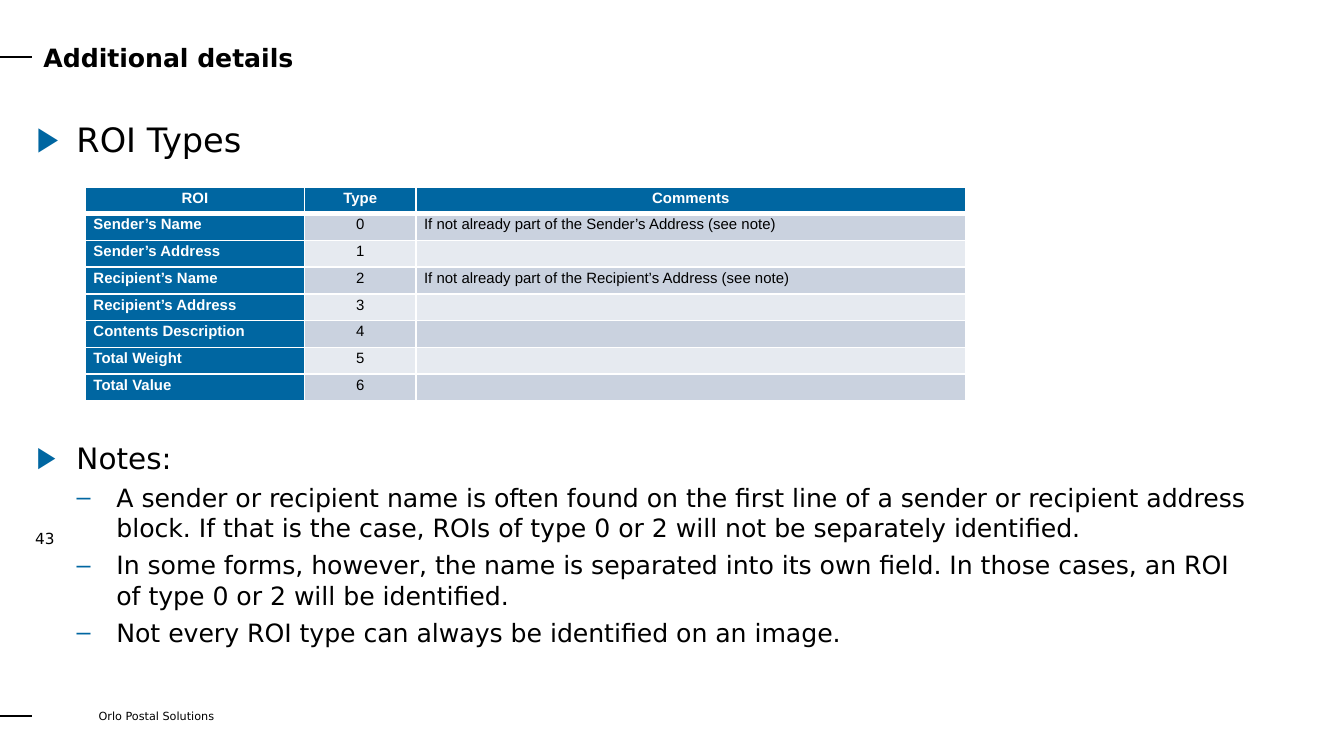
from dataclasses import dataclass

from lxml.etree import SubElement
from pptx import Presentation
from pptx.dml.color import RGBColor
from pptx.enum.shapes import MSO_CONNECTOR
from pptx.enum.text import MSO_ANCHOR, PP_ALIGN
from pptx.oxml.ns import qn
from pptx.slide import Slide
from pptx.util import Inches, Pt

BLACK = RGBColor(0x00, 0x00, 0x00)
WHITE = RGBColor(0xFF, 0xFF, 0xFF)
BLUE = RGBColor(0x00, 0x66, 0xA1)
DARK_BAND = RGBColor(0xCA, 0xD2, 0xDF)
LIGHT_BAND = RGBColor(0xE6, 0xEA, 0xF0)
SLIDE_COLUMNS, SLIDE_ROWS = 100, 56.25
BODY_FONT, TABLE_FONT, BULLET_FONT = "DejaVu Sans", "Arial", "Arial"


@dataclass(frozen=True)
class Area:
    left: float
    top: float
    width: float
    height: float


@dataclass(frozen=True)
class Label:
    text: str
    area: Area
    size: float
    bold: bool = False
    inset: tuple[float, float] = (0, 0)
    anchor: MSO_ANCHOR = MSO_ANCHOR.TOP
    line_spacing: float = 1


@dataclass(frozen=True)
class Bullet:
    text: str
    size: float
    space_before: float
    level: int = 0


@dataclass(frozen=True)
class RoiType:
    name: str
    comment: str = ""


RULE_ROWS = (4.24, 53.3)
LABELS = (
    Label("Orlo Postal Solutions", Area(6.64, 52.4, 14.1, 1.8), 6, inset=(0.7, 0.4)),
    Label("Additional details", Area(3.24, 3.15, 95.7, 2.3), 13.5, bold=True),
    Label("43", Area(2.62, 39.3, 1.7, 1.3), 8.2,
          anchor=MSO_ANCHOR.MIDDLE, line_spacing=1.21),
)
BODY_AREA = Area(1.74, 8.36, 93, 41.2)
BULLETS = (
    Bullet("ROI Types", 18, 0),
    Bullet("Notes:", 15.8, 150.3),
    Bullet("A sender or recipient name is often found on the first line of a sender or "
           "recipient address block. If that is the case, ROIs of type 0 or 2 will not "
           "be separately identified.", 13.5, 3.8, 1),
    Bullet("In some forms, however, the name is separated into its own field. In those "
           "cases, an ROI of type 0 or 2 will be identified.", 13.5, 3.8, 1),
    Bullet("Not every ROI type can always be identified on an image.", 13.5, 3.8, 1),
)
BULLET_MARKS = "▶–"
BULLET_INDENT = 2.97
TABLE_LEFT, TABLE_TOP, TABLE_ROW = 6.36, 13.92, 1.99
TABLE_COLUMNS = (16.3, 8.3, 40.9)
HEADINGS = ("ROI", "Type", "Comments")
ROI_TYPES = (
    RoiType("Sender’s Name", "If not already part of the Sender’s Address (see note)"),
    RoiType("Sender’s Address"),
    RoiType("Recipient’s Name", "If not already part of the Recipient’s Address (see note)"),
    RoiType("Recipient’s Address"),
    RoiType("Contents Description"),
    RoiType("Total Weight"),
    RoiType("Total Value"),
)


def grid(steps: float) -> int:
    """Turn grid steps, a tenth of an inch each, into a length."""
    return Inches(steps / 10)


def style(paragraph, font: str, size: float, color: RGBColor, bold: bool = False) -> None:
    """Format every run of a paragraph."""
    for span in paragraph.runs:
        span.font.name = font
        span.font.size = Pt(size)
        span.font.bold = bold
        span.font.color.rgb = color


def add_box(page: Slide, area: Area, inset: tuple[float, float]):
    """Add a wrapping text box and return its text frame."""
    box = page.shapes.add_textbox(
        grid(area.left), grid(area.top), grid(area.width), grid(area.height))
    frame = box.text_frame
    frame.word_wrap = True
    frame.margin_left = frame.margin_right = grid(inset[0])
    frame.margin_top = frame.margin_bottom = grid(inset[1])
    return frame


def add_label(page: Slide, label: Label) -> None:
    """Add a one-line text."""
    frame = add_box(page, label.area, label.inset)
    frame.vertical_anchor = label.anchor
    frame.text = label.text
    para = frame.paragraphs[0]
    para.line_spacing = label.line_spacing
    style(para, BODY_FONT, label.size, BLACK, label.bold)


def add_rule(page: Slide, row: float) -> None:
    """Add a short black line at the left edge."""
    rule = page.shapes.add_connector(
        MSO_CONNECTOR.STRAIGHT, 0, grid(row), grid(2.4), grid(row))
    rule.line.color.rgb = BLACK
    rule.line.width = Pt(1)
    SubElement(rule._element.spPr, qn("a:effectLst"))


def add_bullets(page: Slide) -> None:
    """Add the bulleted body, leaving room for the table."""
    frame = add_box(page, BODY_AREA, (1, 0.5))
    for index, bullet in enumerate(BULLETS):
        para = frame.add_paragraph() if index else frame.paragraphs[0]
        para.text = bullet.text
        para.level = bullet.level
        properties = para._p.get_or_add_pPr()
        properties.set("marL", str(grid(BULLET_INDENT * (bullet.level + 1))))
        properties.set("indent", str(-grid(BULLET_INDENT)))
        color = SubElement(properties, qn("a:buClr"))
        SubElement(color, qn("a:srgbClr"), val=str(BLUE))
        SubElement(properties, qn("a:buFont"), typeface=BULLET_FONT)
        SubElement(properties, qn("a:buChar"), char=BULLET_MARKS[bullet.level])
        para.space_before = Pt(bullet.space_before)
        style(para, BODY_FONT, bullet.size, BLACK)


def fill_cell(cell, text: str, fill: RGBColor, strong: bool, centred: bool,
              bottom: float) -> None:
    """Write and format one table cell with white borders."""
    cell.margin_left = cell.margin_right = grid(0.6)
    cell.margin_top = cell.margin_bottom = 0
    properties = cell._tc.get_or_add_tcPr()
    for side, width in (("L", 1), ("R", 1), ("T", 1), ("B", bottom)):
        border = SubElement(properties, qn(f"a:ln{side}"), w=str(Pt(width)))
        solid = SubElement(border, qn("a:solidFill"))
        SubElement(solid, qn("a:srgbClr"), val=str(WHITE))
    cell.fill.solid()
    cell.fill.fore_color.rgb = fill
    para = cell.text_frame.paragraphs[0]
    para.alignment = PP_ALIGN.CENTER if centred else PP_ALIGN.LEFT
    para.line_spacing = 1.15
    if text:
        para.text = text
        style(para, TABLE_FONT, 8, WHITE if strong else BLACK, strong)
    else:
        SubElement(para._p, qn("a:endParaRPr"), sz="800")


def add_roi_table(page: Slide) -> None:
    """Add the table of ROI types, numbered from zero."""
    records = [HEADINGS] + [(roi.name, str(number), roi.comment)
                            for number, roi in enumerate(ROI_TYPES)]
    table = page.shapes.add_table(
        len(records), len(TABLE_COLUMNS), grid(TABLE_LEFT), grid(TABLE_TOP),
        grid(sum(TABLE_COLUMNS)), grid(TABLE_ROW * len(records))).table
    table.first_row = table.horz_banding = False
    for column, width in zip(table.columns, TABLE_COLUMNS):
        column.width = grid(width)
    for row, record in enumerate(records):
        table.rows[row].height = grid(TABLE_ROW)
        band = DARK_BAND if row % 2 else LIGHT_BAND
        for column, text in enumerate(record):
            strong = row == 0 or column == 0
            fill_cell(table.cell(row, column), text, BLUE if strong else band, strong,
                      row == 0 or column == 1, 1 if row else 3)


def main() -> None:
    """Build the slide and save it."""
    deck = Presentation()
    deck.slide_width, deck.slide_height = grid(SLIDE_COLUMNS), grid(SLIDE_ROWS)
    page = deck.slides.add_slide(deck.slide_layouts[6])
    for row in RULE_ROWS:
        add_rule(page, row)
    for label in LABELS:
        add_label(page, label)
    add_bullets(page)
    add_roi_table(page)
    deck.save("out.pptx")


if __name__ == "__main__":
    main()
